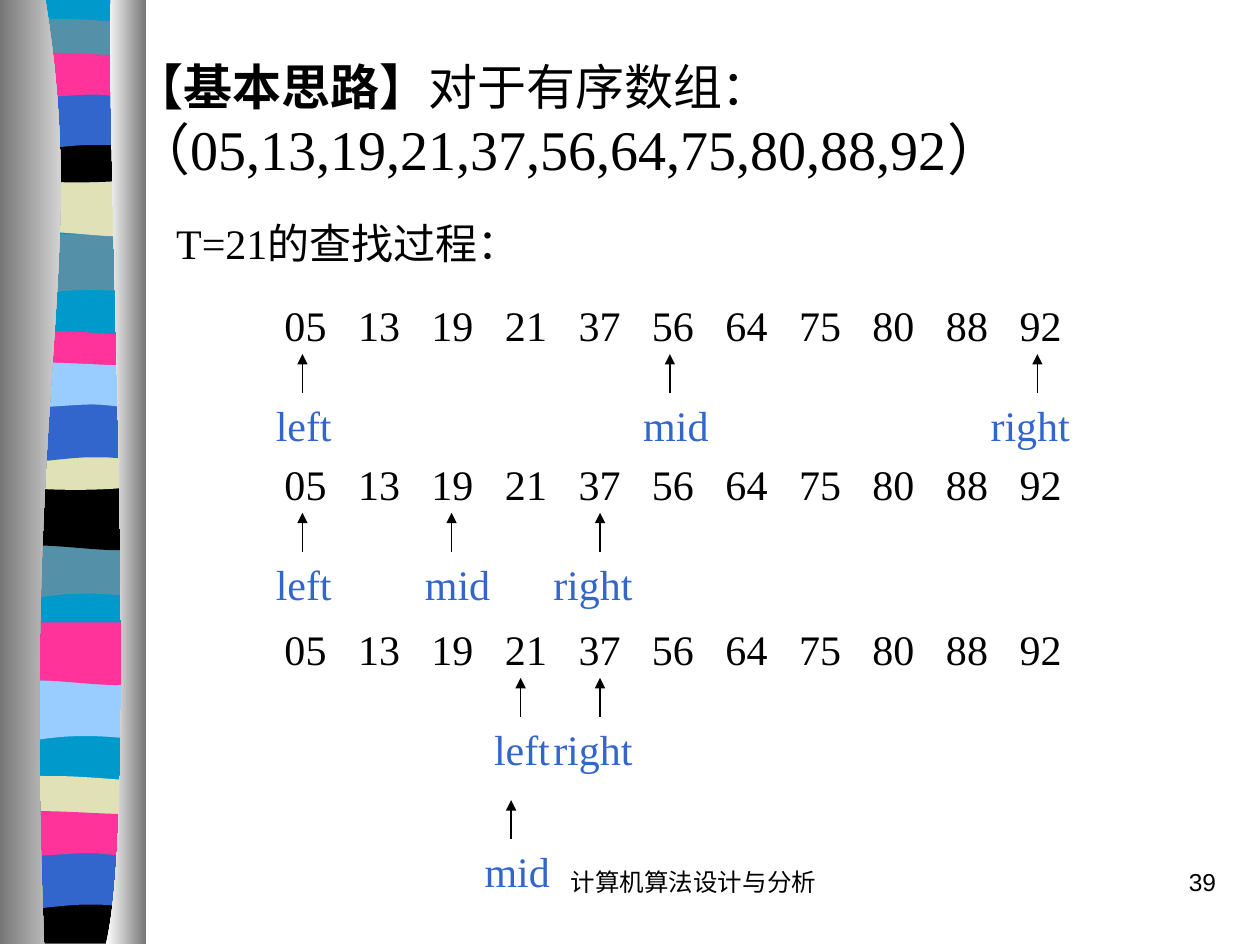
from lxml.etree import SubElement
from pptx import Presentation
from pptx.dml.color import RGBColor
from pptx.enum.shapes import MSO_CONNECTOR
from pptx.enum.text import MSO_ANCHOR, MSO_AUTO_SIZE, PP_ALIGN
from pptx.oxml.ns import qn
from pptx.util import Inches, Pt

BLACK, BLUE, CYAN, TEAL = "000000", "3366CC", "0099CC", "5490A8"
PINK, CREAM, SKY = "FF3399", "E1E1B7", "99CCFF"

presentation = Presentation()
presentation.slide_width, presentation.slide_height = Inches(10), Inches(7.5)
slide = presentation.slides.add_slide(presentation.slide_layouts[5])


def add_outline(segments, left, top, color):
    """Draw a closed outline: pairs are corners, sixes are Bezier curves."""
    points = [(Inches(left + segment[i]), Inches(top + segment[i + 1]))
              for segment in segments for i in range(0, len(segment), 2)]
    builder = slide.shapes.build_freeform(*points[0])
    builder.add_line_segments(points[1:])
    shape = builder.convert_to_shape()
    # Join the three points of each curve into one Bezier element
    lines = iter(list(shape._element.iter(qn("a:lnTo"))))
    for segment in segments[1:]:
        line = next(lines)
        if len(segment) == 6:
            line.tag = qn("a:cubicBezTo")
            for extra in (next(lines), next(lines)):
                line.append(extra[0])
                extra.getparent().remove(extra)
    shape.shadow.inherit = False
    shape.line.fill.background()
    shape.fill.solid()
    shape.fill.fore_color.rgb = RGBColor.from_string(color)
    return shape


def add_text(text, left, top, width, size=24, font="Times New Roman",
             color=BLACK, align=PP_ALIGN.LEFT):
    box = slide.shapes.add_textbox(Inches(left), Inches(top), Inches(width), Inches(0.5))
    box.text_frame.word_wrap = True
    paragraph = box.text_frame.paragraphs[0]
    paragraph.alignment = align
    run = paragraph.add_run()
    run.text = text
    run.font.size, run.font.name = Pt(size), font
    run.font.color.rgb = RGBColor.from_string(color)
    return paragraph


# Ribbon: six recurring band outlines and a flat base
tide = [(1.04, 0), (1.04, 0.47), (0.32, 0.38, 0.17, 0.54, 0, 0.47), (0, 0)]
wave = [(1.04, 0), (1.04, 0.47), (0.87, 0.55, 0.32, 0.42, 0, 0.47), (0, 0)]
dome = [(1.04, 0.05), (1.04, 0.29), (0.87, 0.33, 0.17, 0.33, 0, 0.29), (0, 0.05),
        (0.07, 0, 0.23, 0.01, 0.4, 0.01), (0.57, 0.01, 0.91, 0.04, 1.04, 0.05)]
bowl = [(1.04, 0), (1.04, 0.33), (0.87, 0.38, 0.17, 0.38, 0, 0.33), (0, 0),
        (0.64, 0.05, 0.83, 0, 1.04, 0)]
arch = [(1.04, 0), (1.04, 0.47), (0.88, 0.42, 0.82, 0.42, 0.64, 0.42),
        (0.47, 0.42, 0.16, 0.47, 0, 0.47), (0, 0)]
flag = [(1.05, 0.05), (1.05, 0.36), (0.98, 0.41, 0.82, 0.36, 0.65, 0.36),
        (0.47, 0.36, 0.11, 0.41, 0, 0.36), (0, 0.05), (0.15, 0, 0.71, 0.05, 0.89, 0.05),
        (1.06, 0.05, 1.01, 0.05, 1.05, 0.05)]
base = [(1.04, 0), (1.04, 0.37), (0, 0.37), (0, 0), (0.64, 0.05, 0.83, 0, 1.04, 0)]
backing = [(1.04, 0), (1.04, 7.47), (0, 7.47), (0, 0)]

for outline, left, top, color in [
    (backing, 0.1, 0, CYAN),
    (tide, 0.09, 1.86, TEAL), (wave, 0.11, 1.38, CREAM), (dome, 0.11, 0.14, TEAL),
    (bowl, 0.09, 1.08, BLACK), (arch, 0.09, 0.73, BLUE), (flag, 0.09, 0.39, PINK),
    (tide, 0.06, 4.27, TEAL), (wave, 0.08, 3.87, BLACK), (dome, 0.08, 2.62, PINK),
    (bowl, 0.08, 3.52, CREAM), (arch, 0.08, 3.21, BLUE), (flag, 0.08, 2.85, SKY),
    (tide, 0.05, 5.4, SKY), (wave, 0.07, 4.94, PINK), (dome, 0.06, 6.15, CREAM),
    (base, 0.06, 7.12, BLACK), (arch, 0.04, 6.76, BLUE), (flag, 0.05, 6.41, PINK),
]:
    add_outline(outline, left, top, color)

# Shaded columns on both sides of the ribbon
left_column = [(0.36, 0), (0.71, 2.16, 0.17, 2.96, 0.35, 7.49), (0, 7.49), (0, 0)]
right_column = [(0.88, 0), (0.84, 1.25, 1.11, 6.46, 0.84, 7.49), (1.16, 7.49), (1.16, 0)]
for outline, shades in [(left_column, ("767676", "FFFFFF")),
                        (right_column, ("FFFFFF", "767676"))]:
    column = add_outline(outline, 0, 0, BLACK)
    column.fill.gradient()
    column.fill.gradient_angle = 0
    for position, (stop, shade) in enumerate(zip(column.fill.gradient_stops, shades)):
        stop.position = position
        stop.color.rgb = RGBColor.from_string(shade)

# Footer and slide number
add_text("计算机算法设计与分析", 3.92, 6.83, 3.17, 14, "Arial", align=PP_ALIGN.CENTER)
add_text("39", 7.67, 6.83, 2.08, 14, "Arial", align=PP_ALIGN.RIGHT)

# Title
title = slide.shapes.title
title.left, title.top = Inches(0.97), Inches(0.5)
title.width, title.height = Inches(9.62), Inches(0.89)
title.text_frame.auto_size = MSO_AUTO_SIZE.NONE
title.text_frame.vertical_anchor = MSO_ANCHOR.MIDDLE
paragraph = title.text_frame.paragraphs[0]
paragraph.alignment = PP_ALIGN.LEFT
numbers = ["05", "13", "19", "21", "37", "56", "64", "75", "80", "88", "92"]
for text, size, bold in [("【基本思路】", 28, True), ("对于有序数组：", 28, False),
                         (f"（{','.join(numbers)}）", 32, False)]:
    if size == 32:
        paragraph.add_line_break()
    run = paragraph.add_run()
    run.text = text
    run.font.size, run.font.bold, run.font.name = Pt(size), bold, "Times New Roman"
    run.font.color.rgb = RGBColor.from_string(BLACK)

add_text("T=21的查找过程：", 1.3, 1.68, 3.7)

# Search steps: numbers on tab stops, pointers given as (label, column, drop)
pitch = 7 / 12
first_pointer = 2.4
steps = [
    (2.33, [("left", 0, 0), ("right", 10, 0), ("mid", 5, 0)]),
    (3.59, [("left", 0, 0), ("right", 4.05, 0), ("mid", 2.03, 0)]),
    (4.9, [("left", 2.97, 0), ("right", 4.05, 0), ("mid", 2.84, 0.97)]),
]
for row_top, pointers in steps:
    row = add_text("\t".join(numbers), 2.16, row_top, 7.24)
    tab_list = SubElement(row._p.get_or_add_pPr(), qn("a:tabLst"))
    for index in range(1, len(numbers)):
        SubElement(tab_list, qn("a:tab"), pos=str(Inches(index * pitch)), algn="l")

    for label, column, drop in pointers:
        x = first_pointer + column * pitch
        label_top = row_top + 0.79 + drop
        arrow = slide.shapes.add_connector(
            MSO_CONNECTOR.STRAIGHT, Inches(x), Inches(label_top),
            Inches(x), Inches(label_top - 0.31))
        arrow.line.width = Pt(0.75)
        arrow.line.color.rgb = RGBColor.from_string(BLACK)
        SubElement(arrow.line._get_or_add_ln(), qn("a:tailEnd"), type="triangle")
        SubElement(arrow._element.spPr, qn("a:effectLst"))
        indent, width = (0.47, 0.95) if label == "right" else (0.31, 0.79)
        add_text(label, x - indent, label_top, width, color=BLUE)

presentation.save("out.pptx")
